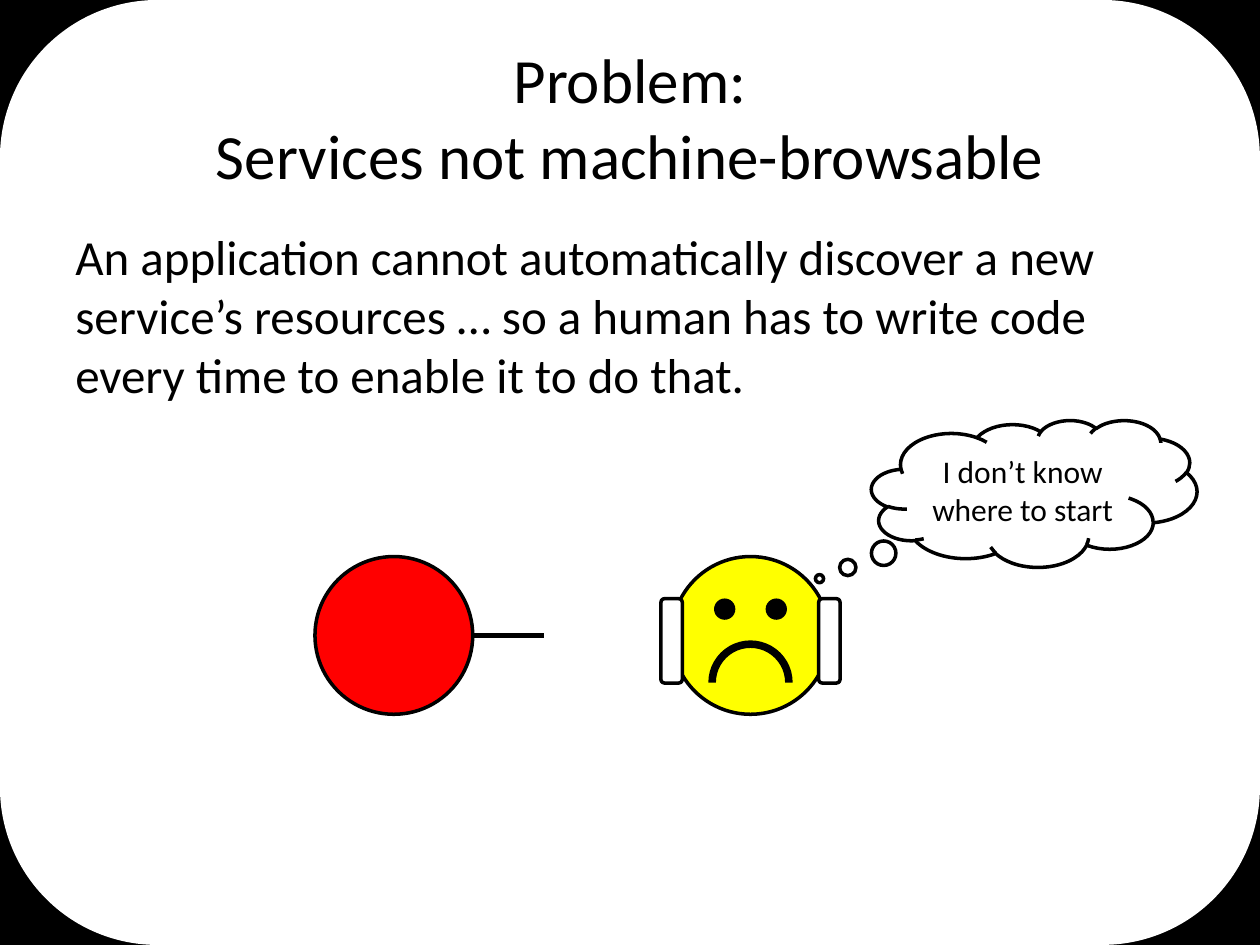
import pptx
import pptx.util
import pptx.dml.color
import pptx.enum.shapes
import pptx.enum.text
import pptx.oxml.ns
import lxml.etree

Cm = pptx.util.Cm
Pt = pptx.util.Pt
RGBColor = pptx.dml.color.RGBColor
MSO_SHAPE = pptx.enum.shapes.MSO_SHAPE
PP_ALIGN = pptx.enum.text.PP_ALIGN
MSO_ANCHOR = pptx.enum.text.MSO_ANCHOR

BLACK = RGBColor(0, 0, 0)
WHITE = RGBColor(255, 255, 255)
YELLOW = RGBColor(255, 255, 0)
RED = RGBColor(255, 0, 0)

FONT = "Calibri"
TITLE = "Problem:\vServices not machine-browsable"
BODY = ("An application cannot automatically discover a new service’s resources "
        "… so a human has to write code every time to enable it to do that.")
THOUGHT = "I don’t know where to start"

SLIDE_WIDTH, SLIDE_HEIGHT = 25.4, 19.05
MARGIN = 1.27
HEAD_SIZE = 3.18
HEAD_X, SERVICE_X, ROW_Y = 15.13, 7.94, 12.81
EYE_SIZE, EYE_OFFSET, EYE_RISE = 0.43, 0.52, 0.53
EAR_WIDTH, EAR_HEIGHT, EAR_DROP = 0.43, 1.7, 0.11
MOUTH_SIZE, MOUTH_DROP = 1.7, 0.95


def write(frame, text, size, align, anchor):
    frame.word_wrap = True
    frame.vertical_anchor = anchor
    frame.text = text
    paragraph = frame.paragraphs[0]
    paragraph.alignment = align
    paragraph.font.name = FONT
    paragraph.font.size = Pt(size)
    paragraph.font.color.rgb = BLACK


def add_text(slide, text, size, top, height, align, anchor):
    box = slide.shapes.add_textbox(Cm(MARGIN), Cm(top), Cm(SLIDE_WIDTH - 2 * MARGIN), Cm(height))
    write(box.text_frame, text, size, align, anchor)


def add_centred(slide, kind, x, y, width, height, fill, outlined=False, adjustments=()):
    shape = slide.shapes.add_shape(
        kind, Cm(x - width / 2), Cm(y - height / 2), Cm(width), Cm(height))
    shape.shadow.inherit = False
    shape.fill.solid()
    shape.fill.fore_color.rgb = fill
    if outlined:
        shape.line.color.rgb = BLACK
        shape.line.width = Pt(2)
    else:
        shape.line.fill.background()
    for index, value in enumerate(adjustments):
        shape.adjustments[index] = value
    return shape


def add_service(slide):
    cable = slide.shapes.add_connector(
        pptx.enum.shapes.MSO_CONNECTOR.STRAIGHT, Cm(8), Cm(ROW_Y), Cm(10.97), Cm(ROW_Y))
    cable.line.color.rgb = BLACK
    cable.line.width = Pt(3)
    lxml.etree.SubElement(cable._element.spPr, pptx.oxml.ns.qn("a:effectLst"))
    add_centred(slide, MSO_SHAPE.OVAL, SERVICE_X, ROW_Y, HEAD_SIZE, HEAD_SIZE, RED, True)


def add_application(slide):
    add_centred(slide, MSO_SHAPE.OVAL, HEAD_X, ROW_Y, HEAD_SIZE, HEAD_SIZE, YELLOW, True)
    for side in (-1, 1):
        add_centred(slide, MSO_SHAPE.OVAL, HEAD_X + side * EYE_OFFSET, ROW_Y - EYE_RISE,
                    EYE_SIZE, EYE_SIZE, BLACK)
        add_centred(slide, MSO_SHAPE.ROUNDED_RECTANGLE, HEAD_X + side * HEAD_SIZE / 2,
                    ROW_Y + EAR_DROP, EAR_WIDTH, EAR_HEIGHT, WHITE, True)
    add_centred(slide, MSO_SHAPE.BLOCK_ARC, HEAD_X, ROW_Y + MOUTH_DROP,
                MOUTH_SIZE, MOUTH_SIZE, BLACK, adjustments=(108, 0, 0.09))


def main():
    deck = pptx.Presentation()
    deck.slide_width, deck.slide_height = Cm(SLIDE_WIDTH), Cm(SLIDE_HEIGHT)
    slide = deck.slides.add_slide(deck.slide_layouts[6])
    slide.background.fill.solid()
    slide.background.fill.fore_color.rgb = BLACK

    add_centred(slide, MSO_SHAPE.ROUNDED_RECTANGLE, SLIDE_WIDTH / 2, SLIDE_HEIGHT / 2,
                SLIDE_WIDTH, SLIDE_HEIGHT, WHITE)
    add_text(slide, TITLE, 36, 0.76, 3.18, PP_ALIGN.CENTER, MSO_ANCHOR.MIDDLE)
    add_text(slide, BODY, 28, 4.45, 12.57, PP_ALIGN.LEFT, MSO_ANCHOR.TOP)
    add_application(slide)
    add_service(slide)
    thought = add_centred(slide, MSO_SHAPE.CLOUD_CALLOUT, 20.85, 9.95, 6.56, 2.96,
                          WHITE, True, (-0.66, 0.58))
    write(thought.text_frame, THOUGHT, 18, PP_ALIGN.CENTER, MSO_ANCHOR.MIDDLE)
    deck.save("out.pptx")


if __name__ == "__main__":
    main()
